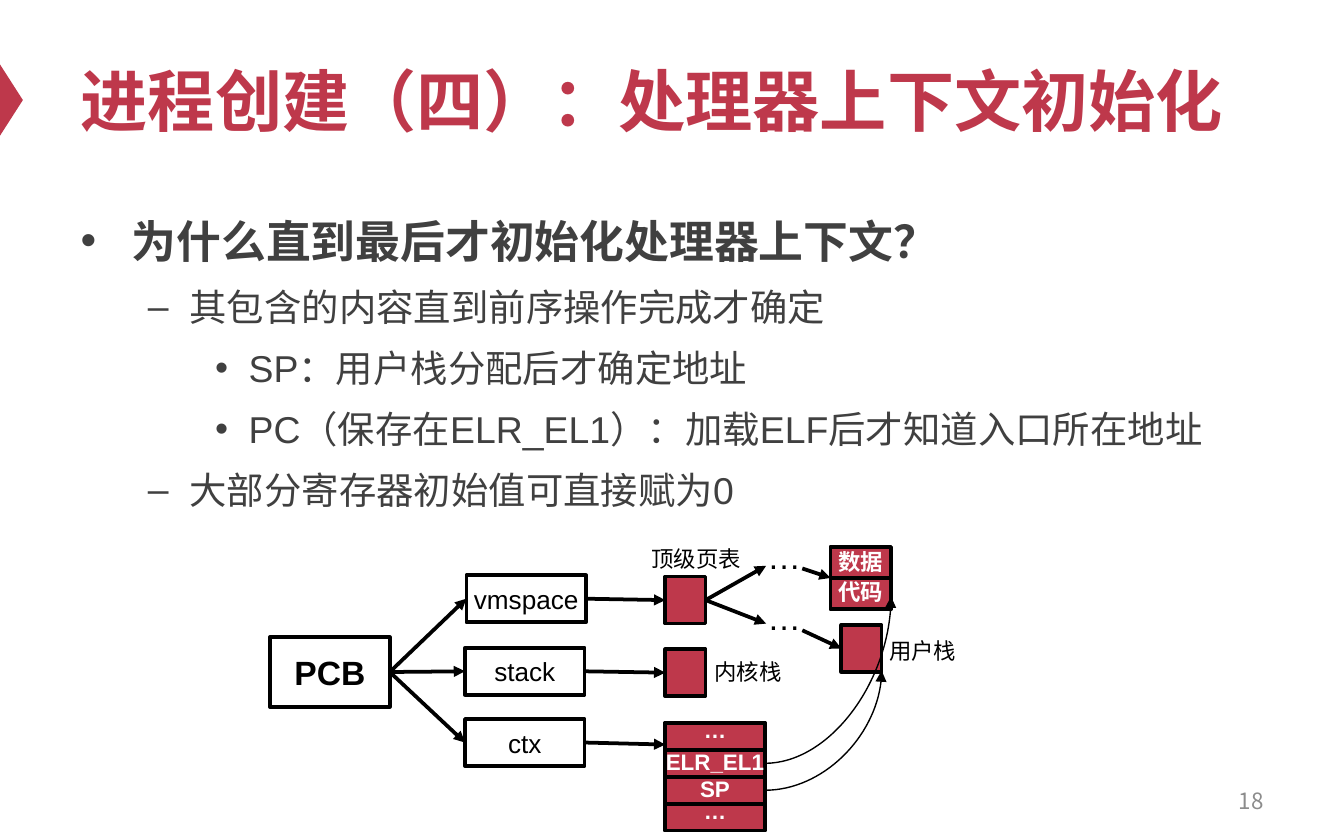
from dataclasses import dataclass
from typing import NamedTuple, Optional

from lxml.etree import SubElement
from pptx import Presentation
from pptx.dml.color import RGBColor
from pptx.enum.shapes import MSO_CONNECTOR as Link, MSO_SHAPE as Preset
from pptx.enum.text import MSO_ANCHOR as Anchor, MSO_AUTO_SIZE as AutoSize, PP_ALIGN as Align
from pptx.oxml.ns import qn
from pptx.util import Inches, Pt

COLUMNS, ROWS = 100, 62.5
TOP, LEFT, BOTTOM, RIGHT = range(4)


@dataclass(frozen=True)
class Theme:
    """Colours, fonts and type sizes of the slide."""
    accent: RGBColor = RGBColor(0xBE, 0x38, 0x4B)
    body: RGBColor = RGBColor(0x40, 0x40, 0x40)
    muted: RGBColor = RGBColor(0x8C, 0x8C, 0x8C)
    ink: RGBColor = RGBColor(0, 0, 0)
    paper: RGBColor = RGBColor(0xFF, 0xFF, 0xFF)
    font: str = "Arial"
    number_font: str = "Noto Sans CJK SC"
    title: float = 36
    question: float = 24
    point: float = 20
    root: float = 18
    node: float = 14
    label: float = 12
    stroke: float = 2
    thin: float = 0.75


class Area(NamedTuple):
    """A rectangle in grid columns and rows."""
    col: float
    row: float
    cols: float
    rows: float


class Level(NamedTuple):
    """Look of one outline level."""
    bullet: str
    indent: float
    hanging: float
    size: float
    before: float
    bold: bool


class Point(NamedTuple):
    """One line of the outline."""
    level: int
    text: str


THEME = Theme()
LEVELS = (
    Level("•", 0.38, 0.38, THEME.question, 12, True),
    Level("–", 0.81, 0.31, THEME.point, 4, False),
    Level("•", 1.25, 0.25, THEME.point, 4, False),
)
OUTLINE = (
    Point(0, "为什么直到最后才初始化处理器上下文？"),
    Point(1, "其包含的内容直到前序操作完成才确定"),
    Point(2, "SP：用户栈分配后才确定地址"),
    Point(2, "PC（保存在ELR_EL1）：加载ELF后才知道入口所在地址"),
    Point(1, "大部分寄存器初始值可直接赋为0"),
)

deck = Presentation()
deck.slide_width, deck.slide_height = Inches(10), Inches(6.25)
slide = deck.slides.add_slide(deck.slide_layouts[1])
shapes = slide.shapes


def x(col: float) -> int:
    """Turn columns into a length."""
    return round(deck.slide_width * col / COLUMNS)


def y(row: float) -> int:
    """Turn rows into a length."""
    return round(deck.slide_height * row / ROWS)


def place(shape, area: Area) -> None:
    """Move a shape onto an area of the grid."""
    shape.left, shape.top = x(area.col), y(area.row)
    shape.width, shape.height = x(area.cols), y(area.rows)


def style(paragraph, size: float, color: RGBColor, bold: bool = False, font: str = THEME.font) -> None:
    """Format every run of a paragraph."""
    for run in paragraph.runs:
        run.font.size, run.font.bold, run.font.name = Pt(size), bold, font
        run.font.color.rgb = color


def write(shape, text: str, size: float, color: RGBColor, bold: bool = False, lift: float = 0) -> None:
    """Centre one line of text in a shape, raised by a number of rows."""
    frame = shape.text_frame
    frame.text, frame.word_wrap, frame.vertical_anchor = text, False, Anchor.MIDDLE
    frame.margin_left = frame.margin_right = frame.margin_top = 0
    frame.margin_bottom = y(2 * lift)
    frame.paragraphs[0].alignment = Align.CENTER
    style(frame.paragraphs[0], size, color, bold)


def box(area: Area, fill: Optional[RGBColor] = THEME.accent):
    """Draw an outlined rectangle."""
    shape = shapes.add_shape(Preset.RECTANGLE, *(0,) * 4)
    place(shape, area)
    shape.shadow.inherit = False
    shape.line.color.rgb, shape.line.width = THEME.ink, Pt(THEME.stroke)
    if fill is None:
        shape.fill.background()
    else:
        shape.fill.solid()
        shape.fill.fore_color.rgb = fill
    return shape


def node(area: Area, text: str, size: float = THEME.node, bold: bool = False):
    """Draw an unfilled box with a name."""
    shape = box(area, None)
    write(shape, text, size, THEME.ink, bold)
    return shape


def stack(area: Area, names: tuple[str, ...]):
    """Draw a framed column of equal cells and return the frame."""
    frame = box(area)
    height = area.rows / len(names)
    for index, name in enumerate(names):
        cell = box(Area(area.col, area.row + index * height, area.cols, height))
        write(cell, name, THEME.label, THEME.paper, True, 0.5 if name == "…" else 0.1)
    return frame


def label(area: Area, text: str, size: float = THEME.label) -> None:
    """Write a free label."""
    caption = shapes.add_textbox(*(0,) * 4)
    place(caption, area)
    write(caption, text, size, THEME.ink)


def arrow(start, end, curved: bool = False) -> None:
    """Link two ends, each a grid point or a box joined at its side."""
    points = [end_ if isinstance(end_, tuple) else (0, 0) for end_ in (start, end)]
    (col, row), (to_col, to_row) = points
    kind = Link.CURVE if curved else Link.STRAIGHT
    link = shapes.add_connector(kind, x(col), y(row), x(to_col), y(to_row))
    if not isinstance(start, tuple):
        link.begin_connect(start, RIGHT)
    if not isinstance(end, tuple):
        link.end_connect(end, LEFT)
    link.line.color.rgb = THEME.ink
    link.line.width = Pt(THEME.thin if curved else THEME.stroke)
    properties = link._element.spPr
    if curved:
        properties.find(qn("a:prstGeom")).set("prst", "curvedConnector2")
    SubElement(properties.find(qn("a:ln")), qn("a:tailEnd"), type="triangle")
    SubElement(properties, qn("a:effectLst"))


def outline(body) -> None:
    """Fill the body placeholder with the bulleted lines."""
    frame = body.text_frame
    frame.auto_size, frame.vertical_anchor = AutoSize.NONE, Anchor.TOP
    frame.text = "\n".join(point.text for point in OUTLINE)
    for index, (paragraph, point) in enumerate(zip(frame.paragraphs, OUTLINE)):
        level = LEVELS[point.level]
        paragraph.level, paragraph.line_spacing = point.level, 1.2
        paragraph.space_before = Pt(level.before if index else 0)
        properties = paragraph._p.get_or_add_pPr()
        properties.set("marL", str(Inches(level.indent)))
        properties.set("indent", str(-Inches(level.hanging)))
        SubElement(properties, qn("a:buFont"), typeface=THEME.font)
        SubElement(properties, qn("a:buChar"), char=level.bullet)
        style(paragraph, level.size, THEME.body, level.bold)


def header() -> None:
    """Set the marker, the title and the page number."""
    marker = shapes.add_shape(Preset.ISOSCELES_TRIANGLE, *(0,) * 4)
    place(marker, Area(-1.8, 6.6, 5.3, 1.7))
    marker.rotation, marker.shadow.inherit = 90, False
    marker.fill.solid()
    marker.fill.fore_color.rgb = THEME.accent
    marker.line.fill.background()
    heading = shapes.title
    place(heading, Area(5, 2.5, 90, 9.8))
    heading.text_frame.text = "进程创建（四）：处理器上下文初始化"
    heading.text_frame.auto_size = AutoSize.NONE
    heading.text_frame.vertical_anchor = Anchor.MIDDLE
    heading.text_frame.paragraphs[0].alignment = Align.LEFT
    style(heading.text_frame.paragraphs[0], THEME.title, THEME.accent, True)
    number = shapes.add_textbox(*(0,) * 4)
    place(number, Area(71.7, 57.9, 23.3, 3.3))
    number.text_frame.text, number.text_frame.vertical_anchor = "18", Anchor.MIDDLE
    number.text_frame.paragraphs[0].alignment = Align.RIGHT
    style(number.text_frame.paragraphs[0], THEME.label, THEME.muted, font=THEME.number_font)


def diagram() -> None:
    """Draw the process control block and what it points to."""
    pcb = node(Area(20.1, 47.4, 8.9, 5.2), "PCB", THEME.root, True)
    vmspace = node(Area(34.7, 42.8, 8.9, 3.5), "vmspace")
    kernel = node(Area(34.6, 48.2, 8.9, 3.5), "stack")
    context = node(Area(34.6, 53.5, 8.9, 3.5), "ctx")
    page_table = box(Area(49.5, 42.9, 3, 3.5))
    kernel_stack = box(Area(49.5, 48.3, 3, 3.5))
    user_stack = box(Area(62.6, 46.5, 3, 3.5))
    memory = stack(Area(61.8, 40.7, 4.5, 4.6), ("数据", "代码"))
    stack(Area(49.5, 53.8, 7.4, 8), ("…", "ELR_EL1", "SP", "…"))
    for part in (vmspace, kernel, context):
        arrow(pcb, part)
    arrow(vmspace, page_table)
    arrow(kernel, kernel_stack)
    arrow(context, (49.5, 55.4))
    for row, onward, target in ((42.1, 42.3, memory), (46.4, 46.9, user_stack)):
        arrow(page_table, (57, row))
        arrow((59.7, onward), target)
    arrow((56.9, 56.8), (66.3, 44.4), True)
    arrow((56.9, 58.8), (65.6, 49.9), True)
    label(Area(47.4, 40.1, 8.8, 3), "顶级页表")
    label(Area(52.1, 48.5, 7.1, 3), "内核栈")
    label(Area(65.1, 46.9, 7.1, 3), "用户栈")
    for row in (39.4, 43.9):
        label(Area(56.1, row, 4.5, 4), "…", THEME.root)


header()
place(shapes.placeholders[1], Area(5, 14.6, 90, 41.2))
outline(shapes.placeholders[1])
diagram()
deck.save("out.pptx")
